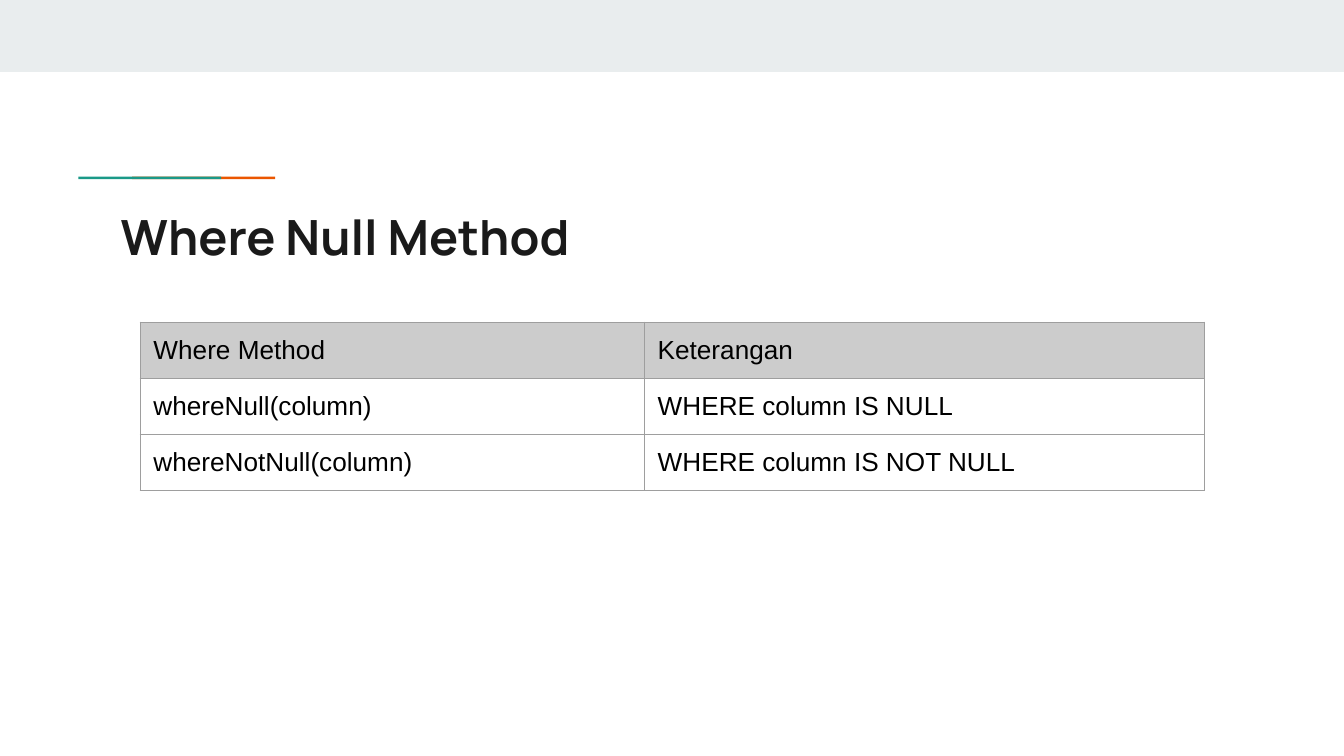
"""Build the Where Null Method slide with its table of query methods."""
from lxml import etree
from pptx import Presentation
from pptx.dml.color import RGBColor
from pptx.enum.shapes import MSO_SHAPE
from pptx.enum.text import MSO_ANCHOR, MSO_AUTO_SIZE, PP_ALIGN
from pptx.oxml.ns import qn
from pptx.util import Cm, Pt

RECTANGLE = MSO_SHAPE.RECTANGLE
TOP, LEFT, NO_AUTOFIT = MSO_ANCHOR.TOP, PP_ALIGN.LEFT, MSO_AUTO_SIZE.NONE

TITLE = "Where Null Method"
METHODS = [
    ("Where Method", "Keterangan"),
    ("whereNull(column)", "WHERE column IS NULL"),
    ("whereNotNull(column)", "WHERE column IS NOT NULL"),
]

THEME = {
    "band": "E9EDEE", "teal": "1A9988", "orange": "EB5600",
    "title": "1A1A1A", "text": "000000", "header": "CCCCCC", "border": "9E9E9E",
    "title_font": "Manrope", "body_font": "Arial",
    "title_size": 26, "body_size": 14, "border_width": 0.75,
}

SLIDE_WIDTH, SLIDE_HEIGHT = 25.4, 14.29
BAND_HEIGHT = 1.36
ACCENT_TOP, ACCENT_WIDTH, ACCENT_HEIGHT = 3.34, 2.7, 0.05
ACCENTS = [("orange", 2.5), ("teal", 1.48)]
TITLE_BOX = (2.03, 3.66, 21.36, 1.5)
TABLE_LEFT, TABLE_TOP = 2.65, 6.09
COLUMN_WIDTHS, ROW_HEIGHT = (9.53, 10.58), 1.06
INSET = 0.25


def color(role):
    return RGBColor.from_string(THEME[role])


def add_bar(slide, left, top, width, height, role):
    bar = slide.shapes.add_shape(RECTANGLE, Cm(left), Cm(top), Cm(width), Cm(height))
    bar.shadow.inherit = False
    bar.fill.solid()
    bar.fill.fore_color.rgb = color(role)
    bar.line.fill.background()


def write(frame, text, part, bold=False):
    paragraph = frame.paragraphs[0]
    paragraph.alignment = LEFT
    run = paragraph.add_run()
    run.text = text
    run.font.name = THEME[f"{part}_font"]
    run.font.size = Pt(THEME[f"{part}_size"])
    run.font.bold = bold
    run.font.color.rgb = color("title" if part == "title" else "text")


def set_insets(target):
    for side in ("left", "top", "right", "bottom"):
        setattr(target, f"margin_{side}", Cm(INSET))


def add_borders(cell):
    properties = cell._tc.get_or_add_tcPr()
    for side in ("lnL", "lnR", "lnT", "lnB"):
        edge = etree.SubElement(properties, qn(f"a:{side}"), w=str(Pt(THEME["border_width"])))
        fill = etree.SubElement(edge, qn("a:solidFill"))
        etree.SubElement(fill, qn("a:srgbClr"), val=THEME["border"])


def add_title(slide):
    title = slide.shapes.title
    title.left, title.top, title.width, title.height = map(Cm, TITLE_BOX)
    frame = title.text_frame
    frame.word_wrap = True
    frame.auto_size = NO_AUTOFIT
    frame.vertical_anchor = TOP
    set_insets(frame)
    write(frame, TITLE, "title", bold=True)


def add_methods(slide):
    table = slide.shapes.add_table(
        len(METHODS), len(COLUMN_WIDTHS), Cm(TABLE_LEFT), Cm(TABLE_TOP),
        Cm(sum(COLUMN_WIDTHS)), Cm(ROW_HEIGHT * len(METHODS))).table
    table.first_row = table.horz_banding = False
    for column, width in zip(table.columns, COLUMN_WIDTHS):
        column.width = Cm(width)
    for row_index, entries in enumerate(METHODS):
        table.rows[row_index].height = Cm(ROW_HEIGHT)
        for column_index, entry in enumerate(entries):
            cell = table.cell(row_index, column_index)
            set_insets(cell)
            add_borders(cell)
            if row_index == 0:
                cell.fill.solid()
                cell.fill.fore_color.rgb = color("header")
            else:
                cell.fill.background()
            write(cell.text_frame, entry, "body")


def main():
    deck = Presentation()
    deck.slide_width, deck.slide_height = Cm(SLIDE_WIDTH), Cm(SLIDE_HEIGHT)
    slide = deck.slides.add_slide(deck.slide_layouts.get_by_name("Title Only"))
    add_bar(slide, 0, 0, SLIDE_WIDTH, BAND_HEIGHT, "band")
    for role, left in ACCENTS:
        add_bar(slide, left, ACCENT_TOP, ACCENT_WIDTH, ACCENT_HEIGHT, role)
    add_title(slide)
    add_methods(slide)
    deck.save("out.pptx")


if __name__ == "__main__":
    main()
